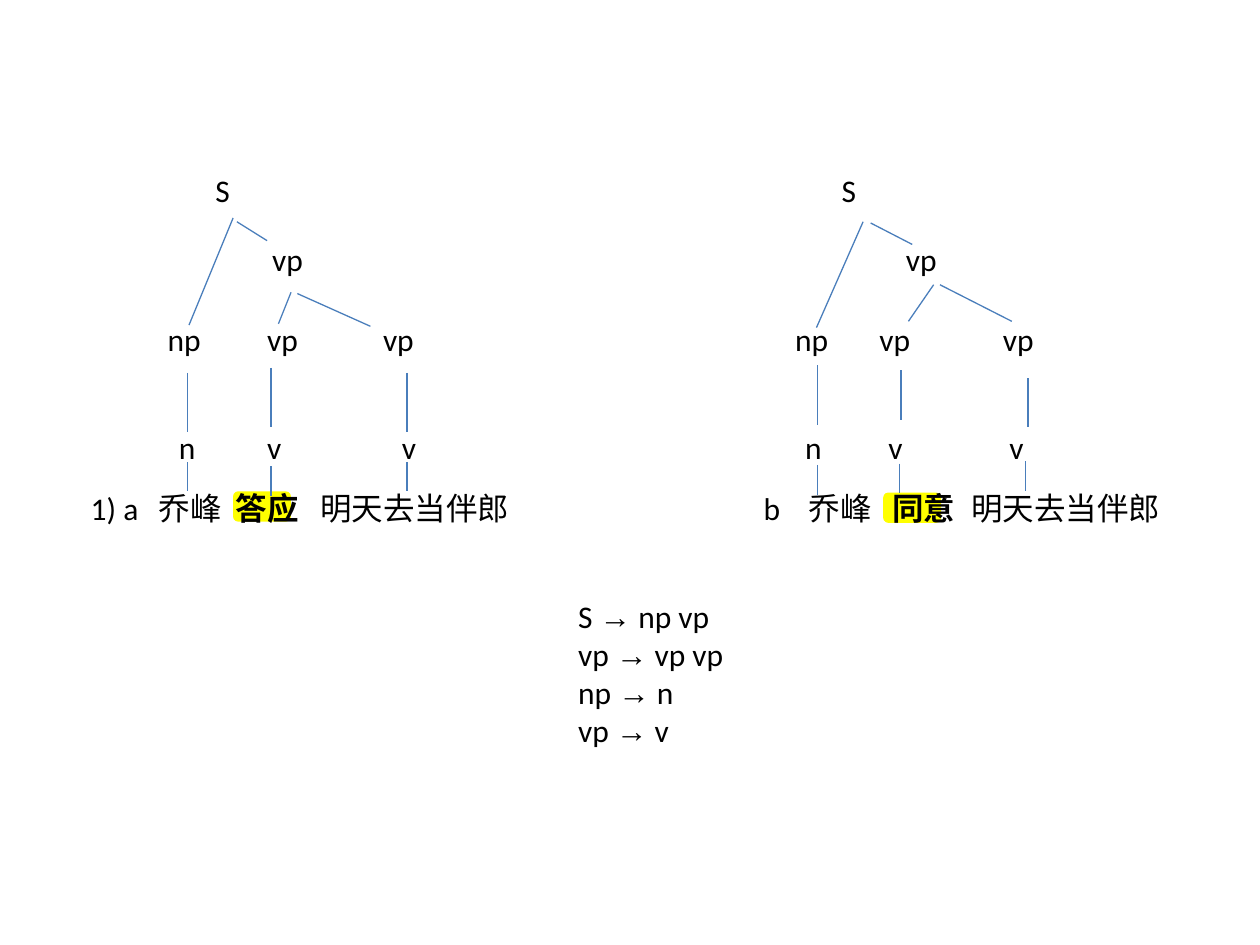
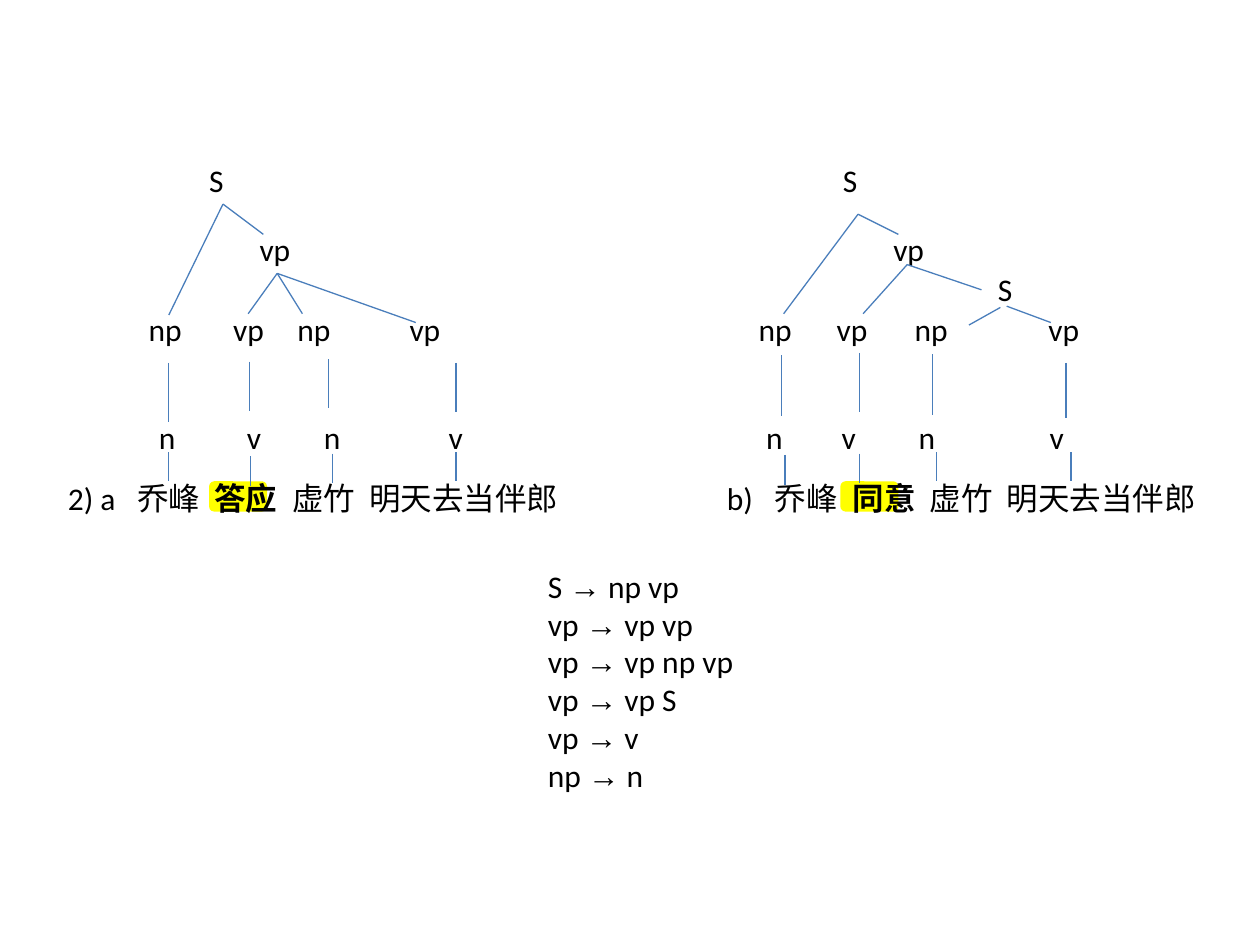
from pptx import Presentation
from pptx import util as u
from pptx.dml.color import RGBColor
from pptx.enum import shapes, text
from pptx.oxml.ns import qn
from lxml import etree

BLACK = RGBColor(0x00, 0x00, 0x00)
BLUE = RGBColor(0x4A, 0x7E, 0xBB)
YELLOW = RGBColor(0xFF, 0xFF, 0x00)
FONT = "Calibri"
VERBS = ("答应", "同意")
ROW_H = 0.4

FIRST = {
    "marks": [(7.01, 3.91), (1.85, 3.9)],
    "rows": [
        (0.62, 3.83, 9.26, [(0.72, "1) a"), (1.26, "乔峰"), (1.87, "答应"),
                            (2.54, "明天去当伴郎"), (6.06, "b"), (6.42, "乔峰"),
                            (7.08, "同意"), (7.71, "明天去当伴郎")]),
        (1.1, 3.35, 8.58, [(1.42, "n"), (2.12, "v"), (3.19, "v"),
                           (6.39, "n"), (7.05, "v"), (8.01, "v")]),
        (1.02, 2.49, 8.58, [(1.33, "np"), (2.12, "vp"), (3.04, "vp"),
                            (6.31, "np"), (6.98, "vp"), (7.96, "vp")]),
        (1.49, 1.86, 7.17, [(2.16, "vp"), (7.19, "vp")]),
        (1.34, 1.31, 7.56, [(1.71, "S"), (6.68, "S")]),
    ],
    "stems": [
        (1.49, 3.67, 3.9), (2.15, 3.7, 3.94), (3.23, 3.67, 3.9),
        (6.49, 3.69, 3.93), (7.14, 3.68, 3.91), (8.14, 3.66, 3.9),
        (1.49, 2.96, 3.43), (2.15, 2.92, 3.39), (3.23, 2.96, 3.43),
        (6.49, 2.9, 3.37), (7.15, 2.94, 3.33), (8.16, 3, 3.39),
    ],
    "limbs": [
        (2.21, 2.57, 2.31, 2.32), (2.36, 2.33, 2.94, 2.59),
        (7.21, 2.55, 7.41, 2.26), (7.46, 2.26, 8.03, 2.55),
        (1.5, 2.58, 1.85, 1.73), (1.88, 1.76, 2.12, 1.91),
        (6.48, 2.6, 6.85, 1.76), (6.91, 1.77, 7.24, 1.94),
    ],
    "rules": (4.49, 4.69, 1.65, 1.3, [
        ("S", "np vp"), ("vp", "vp vp"), ("np", "n"), ("vp", "v")]),
}

SECOND = {
    "marks": [(6.67, 3.82), (1.66, 3.82)],
    "rows": [
        (0.44, 3.75, 9.18, [(0.54, "2) a"), (1.09, "乔峰"), (1.7, "答应"),
                            (2.32, "虚竹"), (2.93, "明天去当伴郎"),
                            (5.77, "b)"), (6.15, "乔峰"), (6.77, "同意"),
                            (7.38, "虚竹"), (7.99, "明天去当伴郎")]),
        (0.94, 3.27, 8.58, [(1.26, "n"), (1.96, "v"), (2.57, "n"), (3.56, "v"),
                            (6.08, "n"), (6.68, "v"), (7.29, "n"), (8.33, "v")]),
        (0.86, 2.41, 8.58, [(1.18, "np"), (1.85, "vp"), (2.36, "np"),
                            (3.25, "vp"), (6.02, "np"), (6.64, "vp"),
                            (7.26, "np"), (8.32, "vp")]),
        (1.34, 1.78, 7.17, [(2.06, "vp"), (7.09, "vp")]),
        (1.18, 1.23, 6.14, [(1.66, "S"), (6.69, "S")]),
        (7.82, 2.09, 0.31, [(7.92, "S")]),
    ],
    "stems": [
        (1.34, 3.59, 3.82), (1.99, 3.62, 3.86), (2.64, 3.6, 3.83),
        (3.62, 3.59, 3.82), (6.23, 3.61, 3.85), (6.82, 3.6, 3.83),
        (7.43, 3.59, 3.82), (8.5, 3.59, 3.82),
        (1.34, 2.88, 3.35), (1.98, 2.87, 3.26), (2.61, 2.85, 3.24),
        (3.62, 2.88, 3.27), (6.2, 2.82, 3.3), (6.82, 2.8, 3.27),
        (7.4, 2.81, 3.29), (8.46, 2.88, 3.32),
    ],
    "limbs": [
        (2.4, 2.49, 2.2, 2.17), (1.97, 2.49, 2.2, 2.17),
        (2.2, 2.17, 3.3, 2.56), (6.85, 2.49, 7.2, 2.1),
        (7.2, 2.1, 7.79, 2.3), (1.34, 2.5, 1.77, 1.62),
        (1.77, 1.62, 2.09, 1.86), (6.22, 2.49, 6.81, 1.7),
        (6.81, 1.7, 7.13, 1.86), (7.69, 2.58, 7.94, 2.44),
        (8.34, 2.56, 7.99, 2.43),
    ],
    "rules": (4.25, 4.45, 2.05, 1.9, [
        ("S", "np vp"), ("vp", "vp vp"), ("vp", "vp np vp"),
        ("vp", "vp S"), ("vp", "v"), ("np", "n")]),
}


def add_mark(slide, left, top):
    mark = slide.shapes.add_shape(
        shapes.MSO_SHAPE.ROUNDED_RECTANGLE,
        u.Inches(left), u.Inches(top), u.Inches(0.46), u.Inches(0.24))
    mark.shadow.inherit = False
    mark.fill.solid()
    mark.fill.fore_color.rgb = YELLOW
    mark.line.fill.background()


def add_box(slide, left, top, width, height):
    box = slide.shapes.add_textbox(
        u.Inches(left), u.Inches(top), u.Inches(width), u.Inches(height))
    frame = box.text_frame
    frame.word_wrap = True
    frame.auto_size = text.MSO_AUTO_SIZE.SHAPE_TO_FIT_TEXT
    return frame


def add_run(para, words, font=FONT, bold=False):
    run = para.add_run()
    run.text = words
    run.font.size = u.Pt(18)
    run.font.name = font
    run.font.bold = bold
    run.font.color.rgb = BLACK


def set_tabs(para, stops):
    tabs = etree.SubElement(para._p.get_or_add_pPr(), qn("a:tabLst"))
    for stop in stops:
        etree.SubElement(tabs, qn("a:tab"), pos=str(u.Inches(stop)), algn="l")


def add_row(slide, left, top, width, words):
    frame = add_box(slide, left, top, width, ROW_H)
    start = words[0][0]
    frame.margin_left = u.Inches(start - left)
    frame.margin_right = 0
    para = frame.paragraphs[0]
    set_tabs(para, [x - start for x, _ in words[1:]])
    for i, (_, word) in enumerate(words):
        if i:
            add_run(para, "\t")
        add_run(para, word, bold=word in VERBS)


def add_line(slide, x1, y1, x2, y2):
    line = slide.shapes.add_connector(
        shapes.MSO_CONNECTOR.STRAIGHT,
        u.Inches(x1), u.Inches(y1), u.Inches(x2), u.Inches(y2))
    line.line.color.rgb = BLUE
    line.line.width = u.Pt(0.75)
    etree.SubElement(line._element.spPr, qn("a:effectLst"))


def add_rules(slide, left, top, width, height, rules):
    frame = add_box(slide, left, top, width, height)
    for i, (head, parts) in enumerate(rules):
        para = frame.add_paragraph() if i else frame.paragraphs[0]
        add_run(para, head + " ")
        add_run(para, "→", font="Arial")
        add_run(para, " " + parts)


def add_trees(deck, data):
    slide = deck.slides.add_slide(deck.slide_layouts[6])
    for mark in data["marks"]:
        add_mark(slide, *mark)
    for row in data["rows"]:
        add_row(slide, *row)
    for x, top, base in data["stems"]:
        add_line(slide, x, top, x, base)
    for limb in data["limbs"]:
        add_line(slide, *limb)
    add_rules(slide, *data["rules"])


def main():
    deck = Presentation()
    deck.slide_width = u.Inches(10)
    deck.slide_height = u.Inches(7.5)
    for data in (FIRST, SECOND):
        add_trees(deck, data)
    deck.save("out.pptx")


if __name__ == "__main__":
    main()
